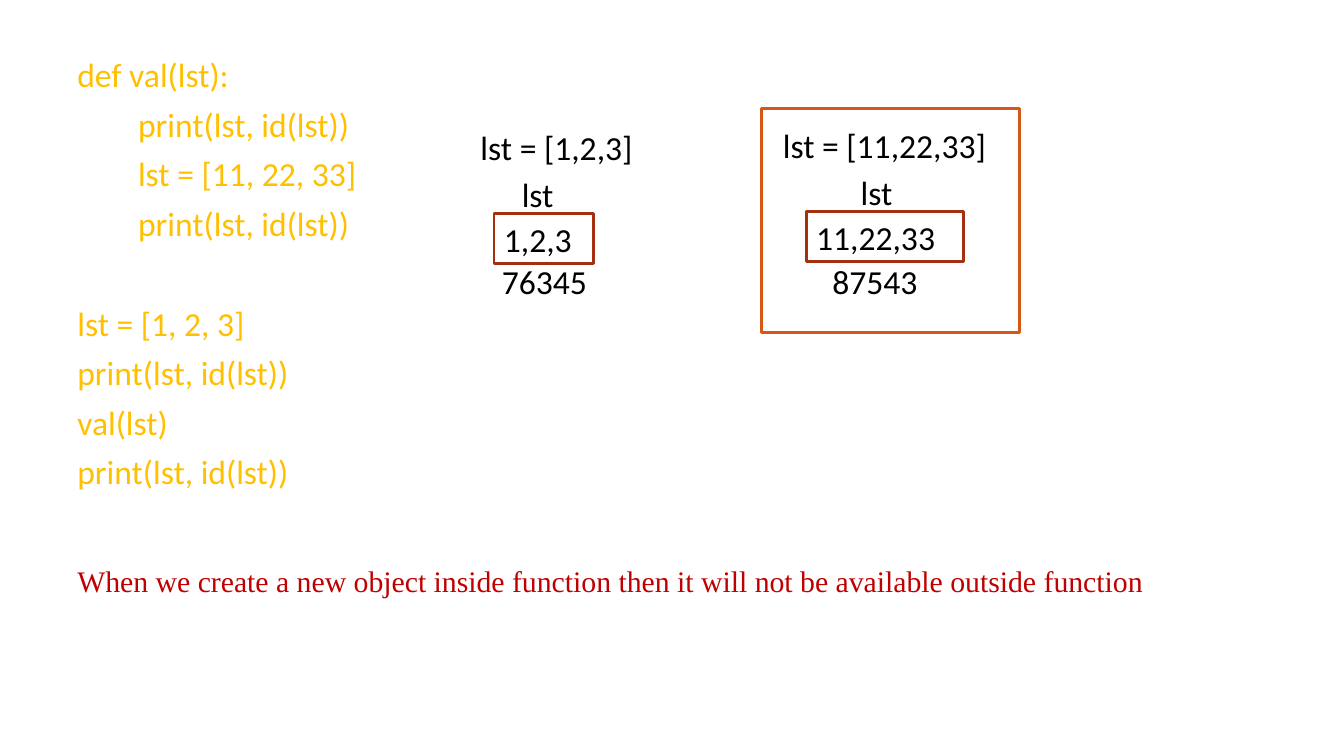
from dataclasses import dataclass

from pptx import Presentation
from pptx.dml.color import RGBColor
from pptx.enum.shapes import MSO_SHAPE
from pptx.enum.text import MSO_ANCHOR, PP_ALIGN
from pptx.util import Cm, Pt


@dataclass(frozen=True)
class Theme:
    """Colours, fonts and type sizes of the slide."""
    code: str = "FFC000"
    ink: str = "000000"
    paper: str = "FFFFFF"
    cell_line: str = "A5300F"
    scope_line: str = "D55816"
    rule: str = "C00000"
    body_font: str = "Calibri"
    rule_font: str = "Times New Roman"
    body_size: float = 24
    rule_size: float = 21.3
    line_width: float = 2
    code_spacing: float = 0.9
    code_gap: float = 9.5
    blank_line_gap: float = 45.5


class SlideBuilder:
    """Draws styled elements on one slide."""

    def __init__(self, slide, theme):
        """Keep the slide and its theme."""
        self.slide = slide
        self.theme = theme

    def style(self, paragraph, color, font=None, size=None):
        """Set the font of a left-aligned paragraph."""
        paragraph.alignment = PP_ALIGN.LEFT
        paragraph.font.name = font or self.theme.body_font
        paragraph.font.size = Pt(size or self.theme.body_size)
        paragraph.font.color.rgb = RGBColor.from_string(color)

    def text_frame(self, left, top, width, height):
        """Add an empty text box and return its frame."""
        return self.slide.shapes.add_textbox(
            Cm(left), Cm(top), Cm(width), Cm(height)).text_frame

    def label(self, text, left, top, width, height=1.27, **font):
        """Add one line of text that does not wrap."""
        frame = self.text_frame(left, top, width, height)
        frame.word_wrap = False
        frame.text = text
        self.style(frame.paragraphs[0], **{"color": self.theme.ink, **font})

    def code(self, blocks, left, top, width, height):
        """Add blocks of (indent level, line), set apart by a line's height."""
        frame = self.text_frame(left, top, width, height)
        frame.word_wrap = True
        paragraph = frame.paragraphs[0]
        for block_number, block in enumerate(blocks):
            for line_number, (level, line) in enumerate(block):
                if block_number or line_number:
                    paragraph = frame.add_paragraph()
                    starts_block = line_number == 0
                    paragraph.space_before = Pt(
                        self.theme.blank_line_gap if starts_block
                        else self.theme.code_gap)
                paragraph.text = line
                paragraph.line_spacing = self.theme.code_spacing
                paragraph._p.get_or_add_pPr().set("marL", str(Cm(1.53 * level)))
                self.style(paragraph, self.theme.code)

    def box(self, left, top, width, height, line, text=None):
        """Add a rectangle: filled when it holds text, else an outline."""
        box = self.slide.shapes.add_shape(
            MSO_SHAPE.RECTANGLE, Cm(left), Cm(top), Cm(width), Cm(height))
        box.shadow.inherit = False
        box.line.color.rgb = RGBColor.from_string(line)
        box.line.width = Pt(self.theme.line_width)
        if text is None:
            box.fill.background()
            return
        box.fill.solid()
        box.fill.fore_color.rgb = RGBColor.from_string(self.theme.paper)
        box.text_frame.text = text
        box.text_frame.vertical_anchor = MSO_ANCHOR.MIDDLE
        self.style(box.text_frame.paragraphs[0], self.theme.ink)

    def memory(self, values, address, top, assignment, name_left, cell, address_left):
        """Show a list in memory; assignment and cell are (left, width)."""
        cell_left, cell_width = cell
        self.box(cell_left, top + 2.31, cell_width, 1.27,
                 self.theme.cell_line, values)
        self.label(address, address_left, 6.45, 2.67)
        self.label("lst", name_left, top + 1.18, 1.32)
        assignment_left, assignment_width = assignment
        self.label(f"lst = [{values}]", assignment_left, top, assignment_width)


def main():
    """Build and save the slide."""
    presentation = Presentation()
    presentation.slide_width, presentation.slide_height = Cm(33.87), Cm(19.05)
    theme = Theme()
    builder = SlideBuilder(
        presentation.slides.add_slide(presentation.slide_layouts[6]), theme)

    show_list = "print(lst, id(lst))"
    function = [(0, "def val(lst):"), (1, show_list),
                (1, "lst = [11, 22, 33]"), (1, show_list)]
    calls = [(0, "lst = [1, 2, 3]"), (0, show_list),
             (0, "val(lst)"), (0, show_list)]
    builder.code([function, calls], 1.7, 1.35, 9.32, 12.57)

    builder.memory("1,2,3", "76345", top=3.07, assignment=(11.86, 4.37),
                   name_left=12.9, cell=(12.45, 2.51), address_left=12.4)
    builder.memory("11,22,33", "87543", top=3.02, assignment=(19.48, 5.66),
                   name_left=21.44, cell=(20.32, 3.96), address_left=20.73)
    builder.box(19.2, 2.74, 6.5, 5.64, theme.scope_line)

    builder.label("When we create a new object inside function then it will "
                  "not be available outside function", 1.7, 14.05, 27.71, 1.17,
                  color=theme.rule, font=theme.rule_font, size=theme.rule_size)
    presentation.save("out.pptx")


main()
